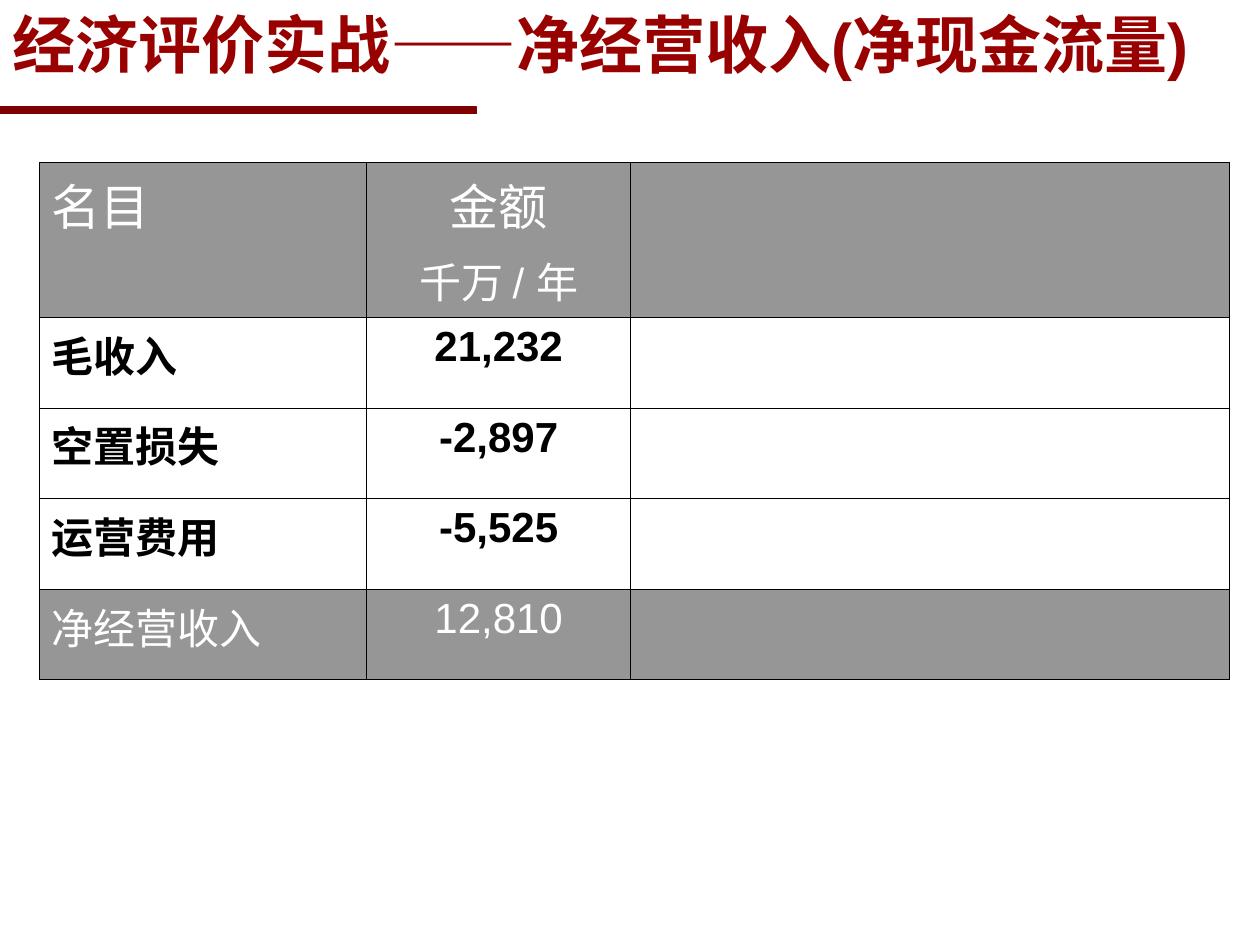
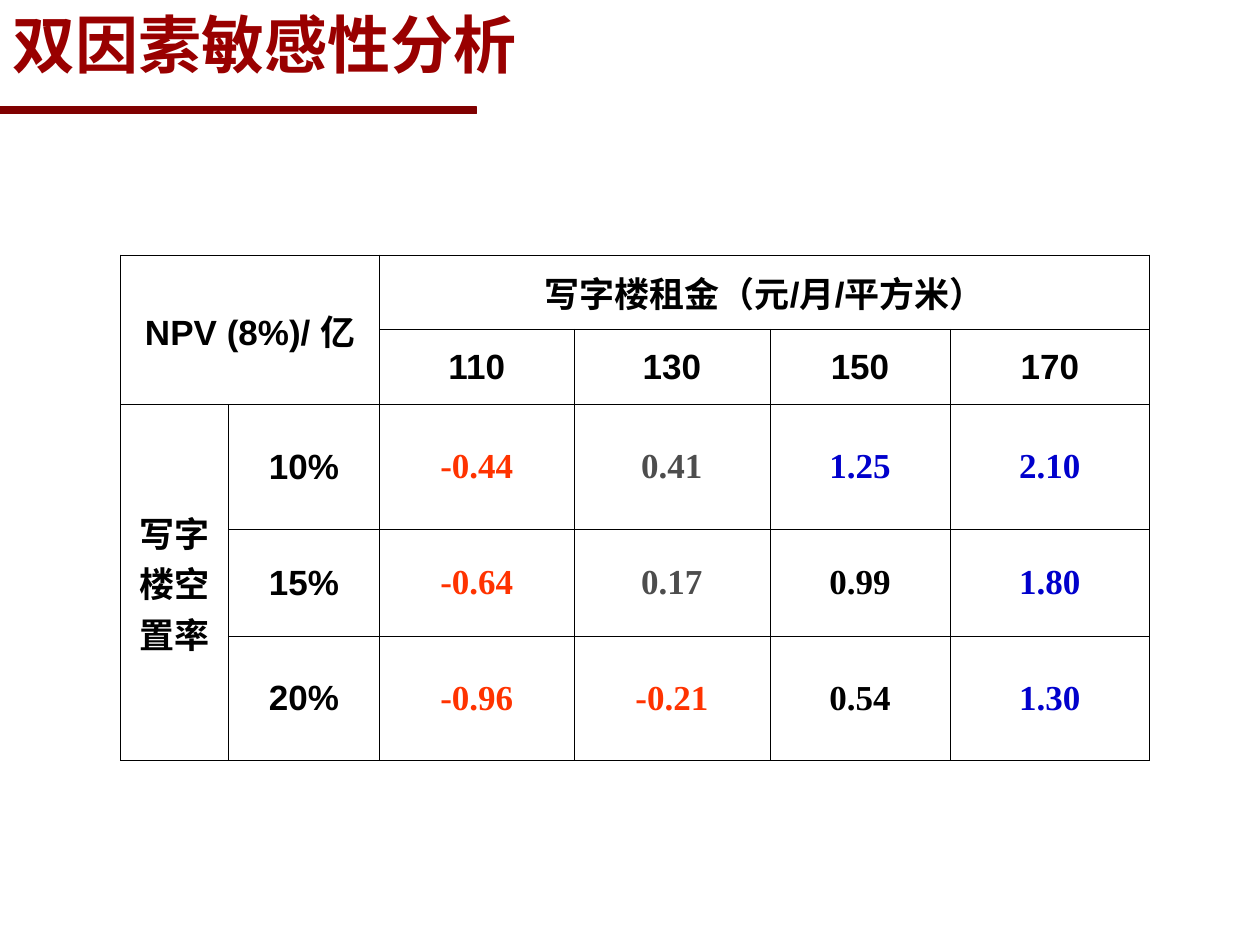
import pptx
import pptx.util
import pptx.dml.color
import pptx.enum.lang
import pptx.enum.shapes
import pptx.enum.text
import pptx.oxml

Pt = pptx.util.Pt
RGB = pptx.dml.color.RGBColor.from_string
ALIGN = pptx.enum.text.PP_ALIGN
MID = pptx.enum.text.MSO_ANCHOR.MIDDLE
TOP = pptx.enum.text.MSO_ANCHOR.TOP
ZH = pptx.enum.lang.MSO_LANGUAGE_ID.SIMPLIFIED_CHINESE
NS = "http://schemas.openxmlformats.org/drawingml/2006/main"

HUES = {"title": "990000", "band": "800000", "grey": "969696", "white": "FFFFFF",
        "black": "000000", "loss": "FF3300", "low": "4D4D4D", "gain": "0000CC"}


def write(para, text, hue, **form):
    """Put text in a paragraph and set its font from format values."""
    run = para.add_run()
    run.text = text
    look = {"name": "Arial", "bold": True, "language_id": ZH} | form
    for key, val in look.items():
        setattr(run.font, key, val)
    run.font.color.rgb = RGB(HUES[hue])


def grid(slide, left, top, cols, rows):
    """Add a plain table with thin black borders."""
    frame = slide.shapes.add_table(len(rows), len(cols), Pt(left), Pt(top),
                                   Pt(sum(cols)), Pt(sum(rows)))
    table = frame.table
    table.first_row = table.horz_banding = False
    for col, width in zip(table.columns, cols):
        col.width = Pt(width)
    for row, height in zip(table.rows, rows):
        row.height = Pt(height)
    for cell in table.iter_cells():
        props = cell._tc.get_or_add_tcPr()
        for side in ("lnL", "lnR", "lnT", "lnB"):
            props.append(pptx.oxml.parse_xml(
                f'<a:{side} xmlns:a="{NS}" w="{Pt(0.45)}"><a:solidFill>'
                f'<a:srgbClr val="{HUES["black"]}"/></a:solidFill></a:{side}>'))
        cell.fill.background()
    return table


deck = pptx.Presentation()
deck.slide_width, deck.slide_height = Pt(720), Pt(540)

# Shared title and band
pages = []
for text, width in (("经济评价实战——净经营收入(净现金流量)", 720),
                    ("双因素敏感性分析", 643.7)):
    slide = deck.slides.add_slide(deck.slide_layouts[6])
    pages.append(slide)
    band = slide.shapes.add_shape(pptx.enum.shapes.MSO_SHAPE.RECTANGLE,
                                  Pt(-0.7), Pt(61.2), Pt(272.9), Pt(3.6))
    band.shadow.inherit = False
    band.fill.solid()
    band.fill.fore_color.rgb = RGB(HUES["band"])
    band.line.color.rgb = RGB(HUES["band"])
    band.line.width = Pt(0.75)
    title = slide.shapes.add_textbox(Pt(0), Pt(0.7), Pt(width), Pt(48.2))
    title.fill.solid()
    title.fill.fore_color.rgb = RGB(HUES["white"])
    body = title.text_frame
    body.word_wrap = True
    body.margin_right = 0
    body.vertical_anchor = MID
    write(body.paragraphs[0], text, "title", size=Pt(36))

# Slide 1: net operating income
items = [("名目", "金额"), ("毛收入", "21,232"), ("空置损失", "-2,897"),
         ("运营费用", "-5,525"), ("净经营收入", "12,810")]
table = grid(pages[0], 22.5, 92.7, [187, 151, 342], [88.6] + [51.8] * 4)
for r, item in enumerate(items):
    dark = r in (0, len(items) - 1)
    size = Pt(24 if r else 28)
    for c, text in enumerate(item):
        para = table.cell(r, c).text_frame.paragraphs[0]
        para.alignment = ALIGN.CENTER if c else ALIGN.LEFT
        write(para, text, "white" if dark else "black", size=size, bold=not dark)
    if dark:
        for cell in table.rows[r].cells:
            cell.fill.solid()
            cell.fill.fore_color.rgb = RGB(HUES["grey"])
unit = table.cell(0, 1).text_frame.add_paragraph()
unit.alignment = ALIGN.CENTER
unit.space_before = Pt(6)
write(unit, "千万 / 年", "white", size=Pt(24), bold=False)

# Slide 2: NPV by rent and vacancy
heads = {(0, 0): "NPV (8%)/ 亿", (0, 2): "写字楼租金（元/月/平方米）",
         (2, 0): "写字楼空置率"}
rents = ["110", "130", "150", "170"]
rates = ["10%", "15%", "20%"]
worth = [
    [("-0.44", "loss"), ("0.41", "low"), ("1.25", "gain"), ("2.10", "gain")],
    [("-0.64", "loss"), ("0.17", "low"), ("0.99", "black"), ("1.80", "gain")],
    [("-0.96", "loss"), ("-0.21", "loss"), ("0.54", "black"), ("1.30", "gain")],
]
heads |= {(1, c): rent for c, rent in enumerate(rents, 2)}
heads |= {(r, 1): rate for r, rate in enumerate(rates, 2)}
cells = {spot: (text, "black", "Arial") for spot, text in heads.items()}
for r, line in enumerate(worth, 2):
    for c, (text, hue) in enumerate(line, 2):
        cells[r, c] = (text, hue, "Times New Roman")

table = grid(pages[1], 69, 145.7, [61.5, 86.5, 111, 112, 103, 114],
             [42.5, 43, 71.3, 61.2, 71])
for start, end in (((0, 0), (1, 1)), ((0, 2), (0, 5)), ((2, 0), (4, 0))):
    table.cell(*start).merge(table.cell(*end))
for spot, (text, hue, face) in cells.items():
    cell = table.cell(*spot)
    cell.vertical_anchor = MID
    para = cell.text_frame.paragraphs[0]
    para.alignment = ALIGN.CENTER
    write(para, text, hue, size=Pt(20), name=face)

deck.save("out.pptx")
